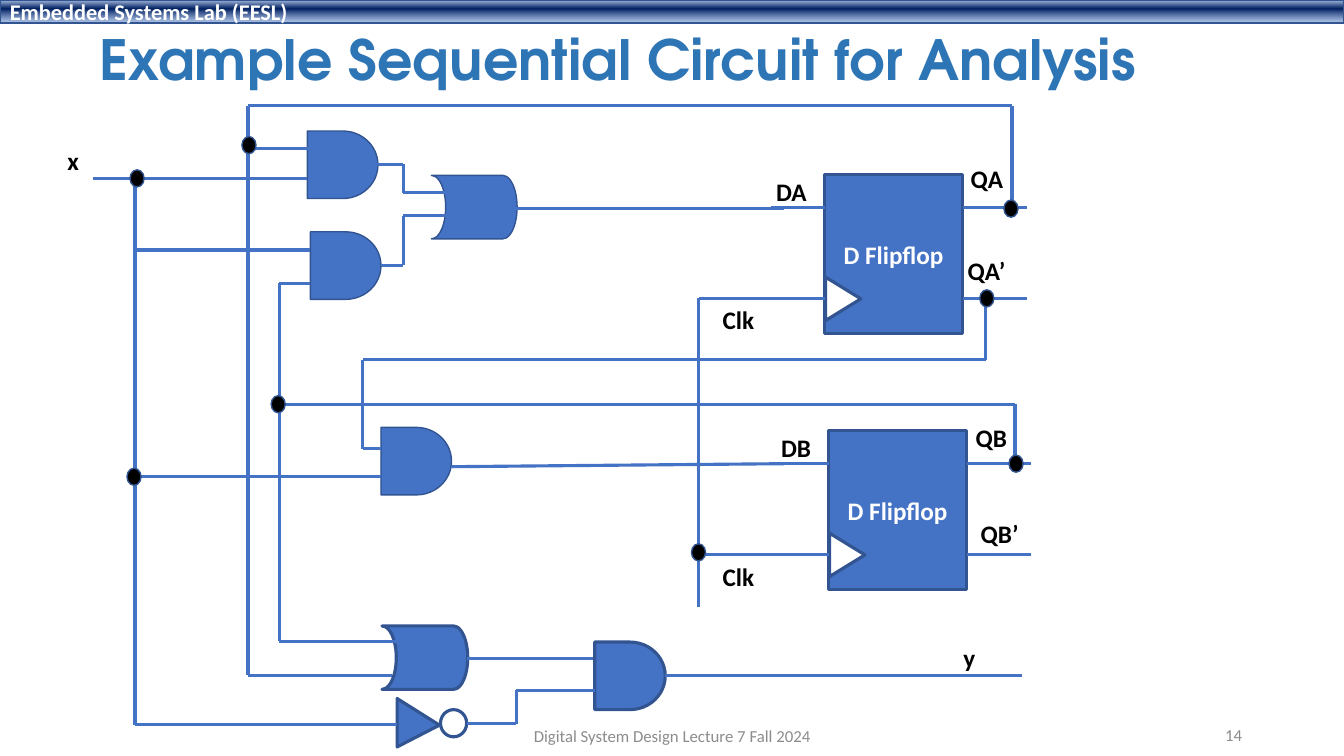
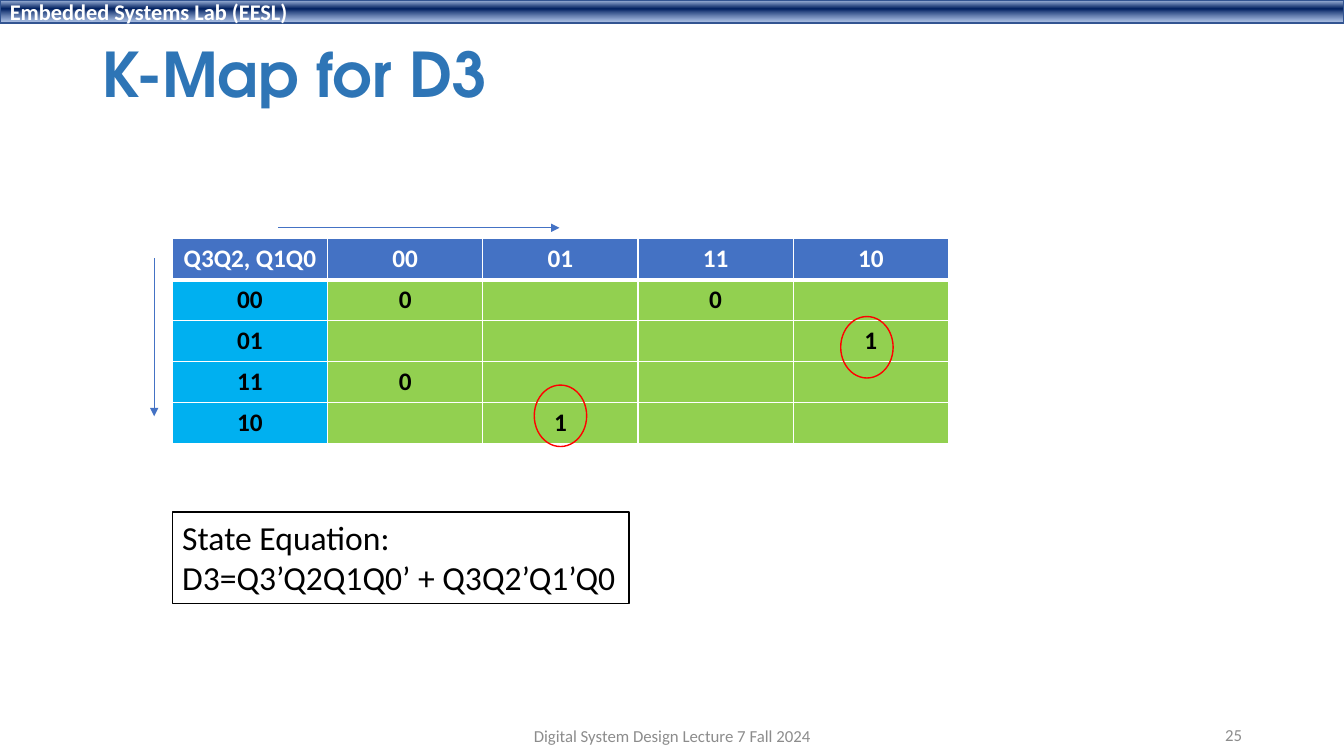
from pptx import Presentation, util as u
from pptx.dml.color import RGBColor
from pptx.enum import shapes as sh, text as tx
from pptx.oxml import ns, parse_xml

# Shared look. All lengths are columns and rows of a 0.1 inch grid.
COLS, ROWS = 133.33, 75
COLOR = {
    "blue": "4472C4", "edge": "325491", "title": "2E75B6", "grey": "8C8C8C",
    "black": "000000", "white": "FFFFFF", "red": "FF0000",
    "cyan": "00B0F0", "green": "92D050",
}
BAND_STOPS = [(2, "ABC0E4", 100), (38, "002060", 100), (93, "7E9ED6", 64)]
BODY, HEADING = "Calibri", "TeX Gyre Adventor"
LEFT, CENTER, RIGHT = tx.PP_ALIGN.LEFT, tx.PP_ALIGN.CENTER, tx.PP_ALIGN.RIGHT
TOP, MIDDLE = tx.MSO_ANCHOR.TOP, tx.MSO_ANCHOR.MIDDLE
KIND = sh.MSO_SHAPE
AND, OR = KIND.FLOWCHART_DELAY, KIND.FLOWCHART_STORED_DATA


def grid(*lengths):
    return [u.Inches(n / 10) for n in lengths]


def rgb(name):
    return RGBColor.from_string(COLOR[name])


# Element kinds
def write(frame, lines, size, color="black", bold=False, font=BODY,
          align=LEFT, anchor=TOP, wrap=True, spacing=None):
    frame.word_wrap = wrap
    frame.vertical_anchor = anchor
    for i, line in enumerate(lines):
        para = frame.add_paragraph() if i else frame.paragraphs[0]
        para.alignment = align
        if spacing:
            para.line_spacing = spacing
        run = para.add_run()
        run.text = line
        run.font.size, run.font.name, run.font.bold = u.Pt(size), font, bold
        run.font.color.rgb = rgb(color)


def caption(slide, box, line, size, **style):
    write(slide.shapes.add_textbox(*grid(*box)).text_frame, [line], size, **style)


def block(slide, kind, box, fill="blue", line="edge", weight=1, turn=0):
    shape = slide.shapes.add_shape(kind, *grid(*box))
    shape.shadow.inherit = False
    shape.rotation = turn
    if fill:
        shape.fill.solid()
        shape.fill.fore_color.rgb = rgb(fill)
    else:
        shape.fill.background()
    shape.line.color.rgb = rgb(line)
    shape.line.width = u.Pt(weight)
    return shape


def wire(slide, *points, weight=2.25, arrow=False):
    """Join the points with straight segments."""
    for start, end in zip(points, points[1:]):
        segment = slide.shapes.add_connector(
            sh.MSO_CONNECTOR.STRAIGHT, *grid(*start, *end))
        segment.line.color.rgb = rgb("blue")
        segment.line.width = u.Pt(weight)
        props = segment._element.spPr
        if arrow:
            props.find(ns.qn("a:ln")).append(
                parse_xml(f'<a:tailEnd {ns.nsdecls("a")} type="triangle"/>'))
        props.append(parse_xml(f'<a:effectLst {ns.nsdecls("a")}/>'))


def or_gate(slide, x, y, weight):
    gate = block(slide, OR, (x, y, 8.5, 6.3), weight=weight)
    gate._element.spPr.find(ns.qn("a:xfrm")).set("flipH", "1")


def and_gate(slide, x, y, weight):
    block(slide, AND, (x, y, 7, 6.7), weight=weight)


def flipflop(slide, x, y):
    body = block(slide, KIND.RECTANGLE, (x, y, 13.7, 15.8), weight=2.25)
    write(body.text_frame, ["D Flipflop"], 18, "white", True,
          align=CENTER, anchor=MIDDLE)
    block(slide, KIND.ISOSCELES_TRIANGLE, (x - 0.3, y + 10.6, 4.3, 3.5),
          "white", weight=2.25, turn=90)
    for row in (3.3, 12.3):
        wire(slide, (x - 5.3, y + row), (x, y + row))
        wire(slide, (x + 13.7, y + row), (x + 20.1, y + row))


def gradient(shape, stops):
    shape.fill.gradient()
    shape.fill.gradient_angle = 270
    stop_list = shape._element.spPr.find(".//" + ns.qn("a:gsLst"))
    for old in list(stop_list):
        stop_list.remove(old)
    for place, color, alpha in stops:
        stop_list.append(parse_xml(
            f'<a:gs {ns.nsdecls("a")} pos="{place * 1000}"><a:srgbClr val="{color}">'
            f'<a:alpha val="{alpha * 1000}"/></a:srgbClr></a:gs>'))


def borders(cell, top, bottom):
    props = cell._tc.get_or_add_tcPr()
    for i, (side, points) in enumerate(
            [("lnL", 1), ("lnR", 1), ("lnT", top), ("lnB", bottom)]):
        props.insert(i, parse_xml(
            f'<a:{side} {ns.nsdecls("a")} w="{points * 12700}"><a:solidFill>'
            f'<a:srgbClr val="{COLOR["white"]}"/></a:solidFill></a:{side}>'))


def karnaugh_map(slide, x, y, col, row, values):
    n_rows, n_cols = len(values), len(values[0])
    table = slide.shapes.add_table(
        n_rows, n_cols, *grid(x, y, col * n_cols, row * n_rows)).table
    table.first_row = table.horz_banding = False
    for r, entries in enumerate(values):
        table.rows[r].height = grid(row)[0]
        for c, entry in enumerate(entries):
            table.columns[c].width = grid(col)[0]
            cell = table.cell(r, c)
            cell.fill.solid()
            cell.fill.fore_color.rgb = rgb(
                "blue" if r == 0 else "green" if c else "cyan")
            borders(cell, 3 if r == 1 else 1, 3 if r == 0 else 1)
            if entry:
                write(cell.text_frame, [entry], 18, "black" if r else "white",
                      True, align=CENTER)


# Band, title and footer of every slide
def new_slide(deck, title, title_box, title_size, number):
    slide = deck.slides.add_slide(deck.slide_layouts[6])
    band = block(slide, KIND.RECTANGLE, (0, 0, COLS, 2.3))
    gradient(band, BAND_STOPS)
    write(band.text_frame, ["Embedded Systems Lab (EESL)"], 16, "white", True,
          anchor=MIDDLE)
    caption(slide, title_box, title, title_size, color="title", bold=True,
            font=HEADING, anchor=MIDDLE, spacing=0.9)
    caption(slide, (94.2, 70.9, 30, 4), number, 12, color="grey",
            align=RIGHT, anchor=MIDDLE)
    caption(slide, (44.2, 71, 45, 4), "Digital System Design Lecture 7 Fall 2024",
            12, color="grey", align=CENTER, anchor=MIDDLE)
    return slide


def circuit_slide(deck):
    slide = new_slide(deck, "Example Sequential Circuit for Analysis",
                      (8.9, 2.9, 115, 6.7), 39.6, "14")
    # Flipflops and gates
    for x, y in [(81.8, 17.3), (82.2, 42.7)]:
        flipflop(slide, x, y)
    for x, y, weight in [(30.5, 13, 1), (30.8, 23, 1), (37.8, 42.4, 1),
                         (59, 63.7, 2.25)]:
        and_gate(slide, x, y, weight)
    for x, y, weight in [(42.8, 17.4, 1), (37.9, 62.1, 2.25)]:
        or_gate(slide, x, y, weight)
    inverter = block(slide, KIND.ISOSCELES_TRIANGLE, (39.1, 69.6, 4.8, 4.2),
                     weight=2.25, turn=90)
    inverter.adjustments[0] = 0.55
    block(slide, KIND.OVAL, (43.7, 70.4, 2.6, 2.7), None, weight=2.25)

    # Wires, each from its source to its end
    for route in [
        [(76.5, 29.6), (69.3, 29.6), (69.3, 60.2)],                     # clock
        [(76.9, 55), (69.3, 55)],
        [(9.2, 17.7), (30.5, 17.7)],                                    # x
        [(13.4, 17.7), (13.4, 71.9), (39.4, 71.9)],
        [(13.4, 24.8), (30.8, 24.8)],
        [(13.4, 47.3), (37.8, 47.3)],
        [(100.4, 20.7), (100.4, 10.5), (24.6, 10.5), (24.6, 67), (38.9, 67)],  # QA
        [(24.6, 14.7), (30.8, 14.7)],
        [(97.8, 29.3), (97.8, 35.7), (36, 35.7), (36, 44.5), (37.8, 44.5)],    # QA’
        [(100.7, 45.9), (100.7, 40.1), (27.7, 40.1)],                   # QB
        [(30.8, 28.1), (27.7, 28.1), (27.7, 63.6), (39.4, 63.6)],
        [(37.4, 16.3), (40, 16.3), (40, 19.1), (44.2, 19.1)],           # DA
        [(37.8, 26.3), (40, 26.3), (40, 21.4), (44.2, 21.4)],
        [(51.2, 20.7), (77.8, 20.7)],
        [(44.8, 46.3), (77.8, 46)],                                     # DB
        [(46.3, 65.3), (58.8, 65.3)],                                   # y
        [(46.3, 71.8), (51.2, 71.8), (51.2, 68.5), (59, 68.5)],
        [(66, 67), (101.4, 67)],
    ]:
        wire(slide, *route)

    # Junctions, by centre
    for x, y in [(100.3, 20.7), (97.9, 29.6), (69.3, 54.8), (13.3, 47.3),
                 (24.7, 14.4), (13.6, 17.7), (27.6, 40.1), (100.8, 46)]:
        block(slide, KIND.OVAL, (x - 0.7, y - 0.85, 1.4, 1.7), "black")

    # Signal names
    for name, x, y, width in [
        ("x", 5.7, 13.9, 3.2), ("y", 94.6, 63.2, 3.2),
        ("DA", 76, 17, 5.1), ("QA", 95.3, 15.7, 5.3), ("QA’", 95, 24.8, 5.8),
        ("DB", 76.5, 42.4, 5), ("QB", 95.8, 41.4, 5.2), ("QB’", 96.3, 50.9, 5.8),
        ("Clk", 70.7, 29.7, 5.2), ("Clk", 70.7, 55.2, 5.2),
    ]:
        caption(slide, (x, y, width, 4), name, 18, bold=True, wrap=False)


def map_slide(deck):
    slide = new_slide(deck, "K-Map for D3", (9.2, 3.8, 115, 7.7), 44, "25")
    karnaugh_map(slide, 17.1, 23.7, 15.4, 4.06, [
        ["Q3Q2, Q1Q0", "00", "01", "11", "10"],
        ["00", "0", "", "0", ""],
        ["01", "", "", "", "1"],
        ["11", "0", "", "", ""],
        ["10", "", "1", "", ""],
    ])
    equation = block(slide, KIND.RECTANGLE, (17.1, 50.8, 45.3, 9.1), "white", "black")
    write(equation.text_frame, ["State Equation:", "D3=Q3’Q2Q1Q0’ + Q3Q2’Q1’Q0"],
          24, wrap=False)
    # Circled ones and reading directions
    for x, y in [(53, 38.2), (83.4, 31.4)]:
        block(slide, KIND.OVAL, (x, y, 5.2, 6.1), None, "red")
    for start, end in [((15.3, 25.6), (15.3, 41.3)), ((27.6, 22.6), (55.5, 22.6))]:
        wire(slide, start, end, weight=0.5, arrow=True)


def main():
    deck = Presentation()
    deck.slide_width, deck.slide_height = grid(COLS, ROWS)
    circuit_slide(deck)
    map_slide(deck)
    deck.save("out.pptx")


if __name__ == "__main__":
    main()
